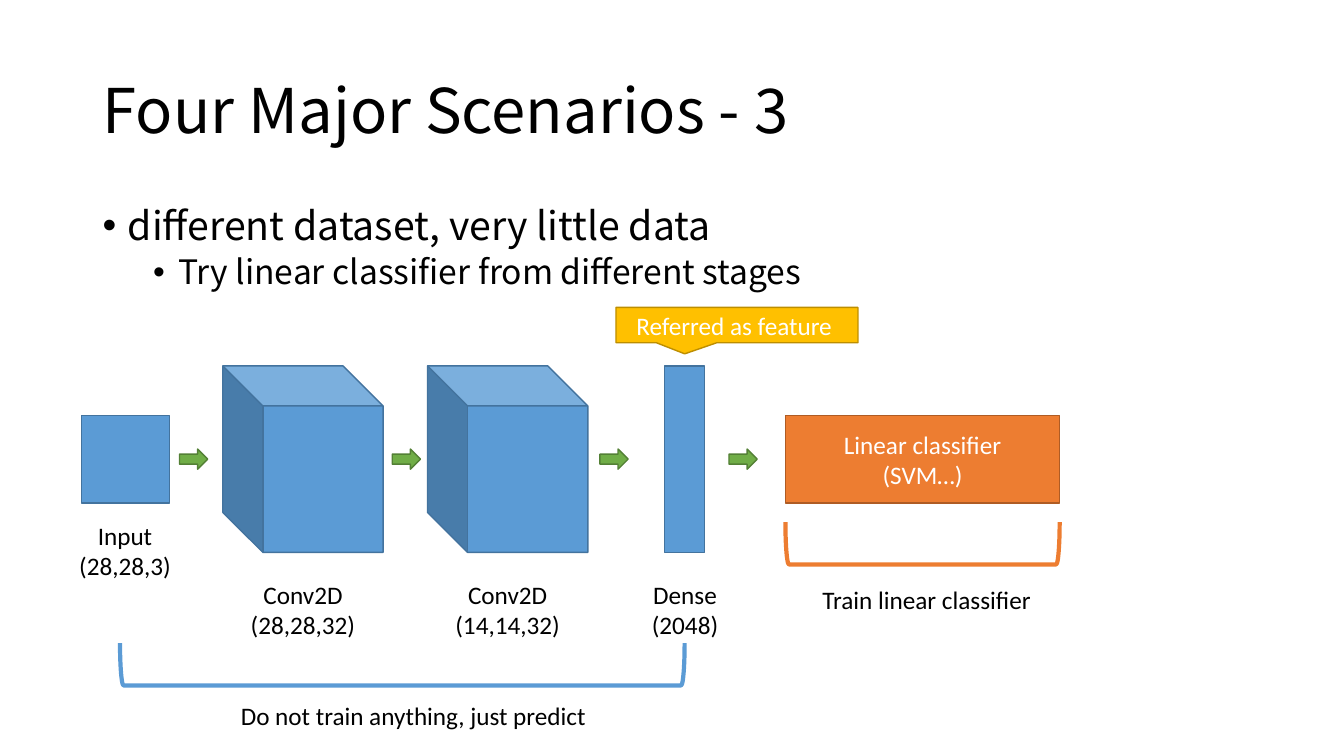
from dataclasses import dataclass

from lxml.etree import SubElement
from pptx import Presentation
from pptx.dml.color import RGBColor
from pptx.enum.shapes import MSO_SHAPE as Preset
from pptx.enum.text import MSO_ANCHOR as Anchor, MSO_AUTO_SIZE as AutoSize, PP_ALIGN as Align
from pptx.oxml.ns import qn
from pptx.util import Inches, Pt


@dataclass(frozen=True)
class Theme:
    heading_font: str = "Noto Sans CJK SC"
    label_font: str = "Calibri"
    title_size: int = 44
    bullet_size: int = 28
    sub_bullet_size: int = 24
    label_size: int = 18
    black: str = "000000"
    white: str = "FFFFFF"
    blue: str = "5B9BD5"
    blue_edge: str = "43739E"
    orange: str = "ED7D31"
    orange_edge: str = "AF5C24"
    green: str = "70AD47"
    green_edge: str = "538035"
    gold: str = "FFC000"
    gold_edge: str = "BD8E00"


@dataclass(frozen=True)
class Area:
    left: float
    top: float
    width: float
    height: float

    def lengths(self) -> list:
        return [Inches(v) for v in (self.left, self.top, self.width, self.height)]


@dataclass(frozen=True)
class Block:
    preset: Preset
    area: Area
    fill: str
    edge: str
    text: str = ""


@dataclass(frozen=True)
class Label:
    text: str
    area: Area
    align: Align = Align.CENTER
    wrap: bool = False


@dataclass(frozen=True)
class Bracket:
    area: Area
    color: str


@dataclass(frozen=True)
class Bullet:
    text: str
    size: int
    level: int
    indent: float
    space_before: int


theme = Theme()


def style_para(para, font: str, size: int, color: str, align: Align) -> None:
    para.alignment = align
    for span in para.runs:
        span.font.name = font
        span.font.size = Pt(size)
        span.font.color.rgb = RGBColor.from_string(color)


def write_label(frame, text: str, color: str, align: Align = Align.CENTER) -> None:
    frame.text = text
    for para in frame.paragraphs:
        style_para(para, theme.label_font, theme.label_size, color, align)


def draw_block(page, block: Block):
    shape = page.shapes.add_shape(block.preset, *block.area.lengths())
    shape.shadow.inherit = False
    shape.fill.solid()
    shape.fill.fore_color.rgb = RGBColor.from_string(block.fill)
    shape.line.color.rgb = RGBColor.from_string(block.edge)
    shape.line.width = Pt(1)
    if block.preset == Preset.CUBE:
        shape._element.spPr.find(qn("a:xfrm")).set("flipH", "1")
    if block.text:
        shape.text_frame.vertical_anchor = Anchor.MIDDLE
        write_label(shape.text_frame, block.text, theme.white)
    return shape


def draw_label(page, label: Label) -> None:
    box = page.shapes.add_textbox(*label.area.lengths())
    box.text_frame.word_wrap = label.wrap
    box.text_frame.auto_size = AutoSize.SHAPE_TO_FIT_TEXT
    write_label(box.text_frame, label.text, theme.black, label.align)


def draw_bracket(page, bracket: Bracket) -> None:
    shape = page.shapes.add_shape(Preset.RIGHT_BRACKET, *bracket.area.lengths())
    shape.rotation = 90
    shape.shadow.inherit = False
    shape.fill.background()
    shape.line.color.rgb = RGBColor.from_string(bracket.color)
    shape.line.width = Pt(3)


def draw_bullets(page, area: Area, bullets: list[Bullet]) -> None:
    frame = page.shapes.add_textbox(*area.lengths()).text_frame
    frame.word_wrap = True
    frame.text = "\n".join(bullet.text for bullet in bullets)
    for para, bullet in zip(frame.paragraphs, bullets):
        para.level = bullet.level
        para.line_spacing = 0.9
        para.space_before = Pt(bullet.space_before)
        style_para(para, theme.heading_font, bullet.size, theme.black, Align.LEFT)
        props = para._p.get_or_add_pPr()
        props.set("marL", str(Inches(bullet.indent)))
        props.set("indent", str(Inches(-0.25)))
        SubElement(props, qn("a:buFont")).set("typeface", "Arial")
        SubElement(props, qn("a:buChar")).set("char", "•")


deck = Presentation()
deck.slide_width, deck.slide_height = Inches(13.33), Inches(7.5)
page = deck.slides.add_slide(deck.slide_layouts[5])

# Title and bullets
title = page.shapes.title
title.left, title.top, title.width, title.height = Area(0.92, 0.4, 11.5, 1.45).lengths()
title.text_frame.text = "Four Major Scenarios - 3"
title.text_frame.vertical_anchor = Anchor.MIDDLE
title.text_frame.auto_size = AutoSize.NONE
title.text_frame.paragraphs[0].line_spacing = 0.9
style_para(title.text_frame.paragraphs[0], theme.heading_font, theme.title_size,
           theme.black, Align.LEFT)
draw_bullets(page, Area(0.92, 2, 11.5, 4.76), [
    Bullet("different dataset, very little data", theme.bullet_size, 0, 0.25, 10),
    Bullet("Try linear classifier from different stages", theme.sub_bullet_size, 1, 0.75, 5),
])

# Network stages, all centred on one axis
AXIS = 4.56


def stage(preset: Preset, left: float, width: float, height: float,
          fill: str, edge: str, text: str = "") -> Block:
    return Block(preset, Area(left, AXIS - height / 2 - 0.005, width, height), fill, edge, text)


blue = (theme.blue, theme.blue_edge)
stages = [
    stage(Preset.RECTANGLE, 0.81, 0.87, 0.87, *blue),
    stage(Preset.CUBE, 2.21, 1.59, 1.85, *blue),
    stage(Preset.CUBE, 4.24, 1.59, 1.85, *blue),
    stage(Preset.RECTANGLE, 6.59, 0.4, 1.85, *blue),
    stage(Preset.RECTANGLE, 7.79, 2.72, 0.87, theme.orange, theme.orange_edge,
          "Linear classifier\n(SVM…)"),
]
arrows = [stage(Preset.RIGHT_ARROW, left, 0.28, 0.2, theme.green, theme.green_edge)
          for left in (1.78, 3.89, 5.95, 7.23)]
for block in stages + arrows:
    draw_block(page, block)

# Callout above the dense layer
callout = draw_block(page, Block(Preset.RECTANGULAR_CALLOUT, Area(6.11, 3.05, 2.4, 0.35),
                                 theme.gold, theme.gold_edge, "Referred as feature "))
callout.adjustments[0], callout.adjustments[1] = -0.216, 0.816

# Brackets and captions
for bracket in (Bracket(Area(3.78, 3.79, 0.42, 5.6), theme.blue),
                Bracket(Area(8.94, 4.03, 0.42, 2.72), theme.orange)):
    draw_bracket(page, bracket)
for label in (
    Label("Input\n(28,28,3)", Area(0.68, 5.11, 1.12, 0.71)),
    Label("Conv2D\n(28,28,32)", Area(2.38, 5.7, 1.25, 0.71)),
    Label("Conv2D\n(14,14,32)", Area(4.41, 5.7, 1.25, 0.71)),
    Label("Dense\n(2048)", Area(6.36, 5.7, 0.87, 0.71)),
    Label("Do not train anything, just predict", Area(2.29, 6.9, 3.66, 0.4), Align.LEFT),
    Label("Train linear classifier", Area(8.03, 5.75, 2.32, 0.4), wrap=True),
):
    draw_label(page, label)

deck.save("out.pptx")
